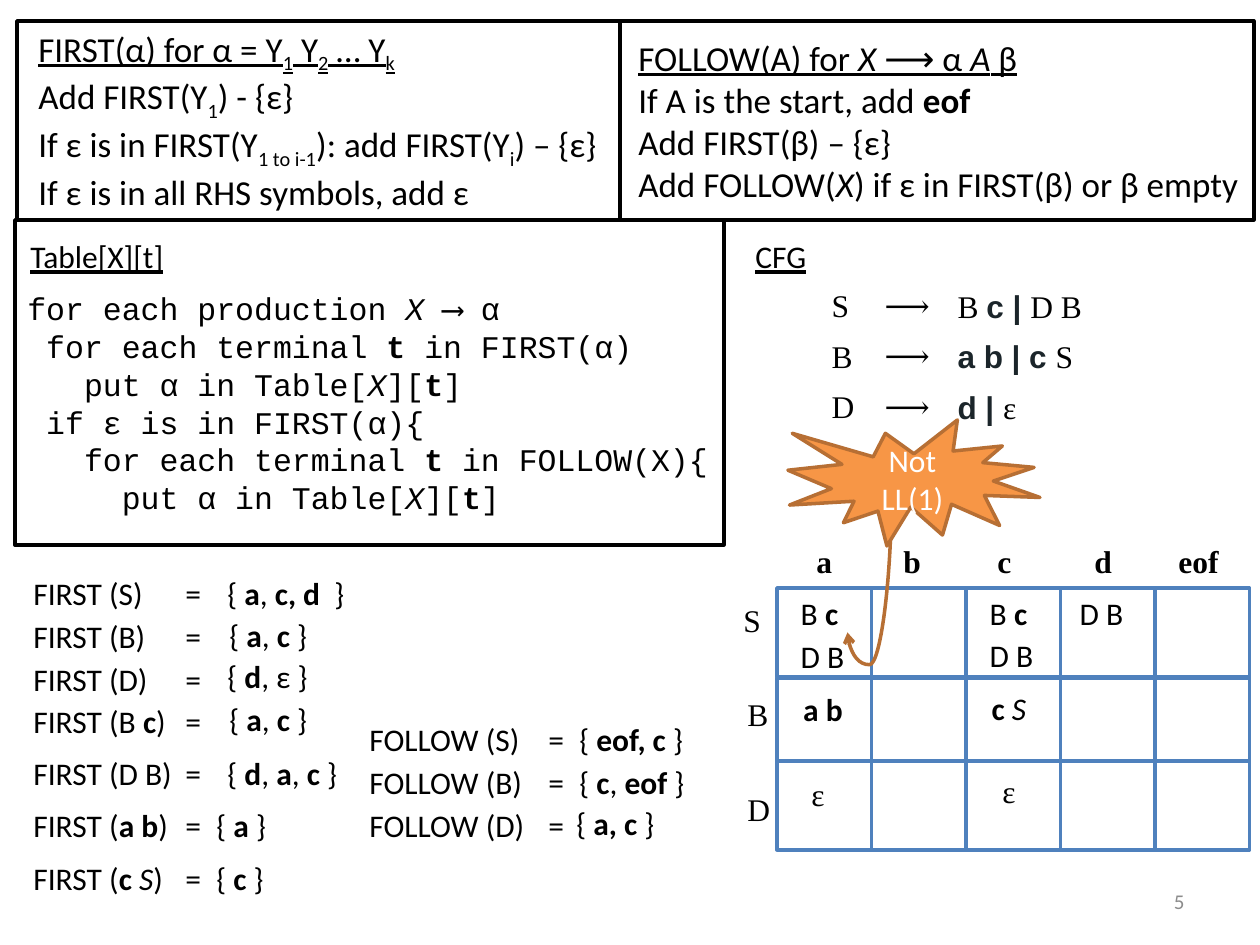
from lxml import etree
from pptx import Presentation, util as u
from pptx.dml.color import RGBColor
from pptx.enum import shapes, text
from pptx.oxml import ns

PX = 914400 // 126
COLORS = {"black": "000000", "white": "FFFFFF", "grid": "4F81BD", "grey": "8C8C8C",
          "terminal": "1B252A", "burst": "F79646", "burst_line": "B76F34"}
SANS, SERIF, MONO = "Calibri", "Times New Roman", "Courier New"
LABEL_H = 50

# Inline marks: * bold, / italic, ~ subscript, a leading _ underlines the paragraph
STYLE_MARKS = {"*": "bold", "/": "italic", "~": "subscript"}

PANELS = [(15, 220, 709, 325), (620, 21, 634, 199), (17, 21, 603, 199)]
FOLLOW_RULES = ["_FOLLOW(A) for /X/\u00a0⟶\u00a0α\u00a0/A/\u00a0β",
                "If A is the start, add *eof*",
                "Add FIRST(β) – {ε}",
                "Add FOLLOW(/X/) if ε in FIRST(β) or β empty"]
FIRST_RULES = ["_FIRST(α) for α = Y~1~ Y~2~ … Y~k~",
               "Add FIRST(Y~1~) - {ε}",
               "If ε is in FIRST(Y~1 to i-1~): add FIRST(Y~i~) – {ε}",
               "If ε is in all RHS symbols, add ε"]
TABLE_RULES = ["for each production /X/ ⟶ α",
               " for each terminal *t* in FIRST(α)",
               "   put α in Table[/X/][*t*]",
               " if ε is in FIRST(α){",
               "   for each terminal *t* in FOLLOW(X){",
               "     put α in Table[/X/][*t*]"]
CFG = [("S", "B\u00a0*c |\u00a0*D\u00a0B"),
       ("B", "*a\u00a0b |\u00a0c\u00a0*S"),
       ("D", "*d |\u00a0*ε")]

# name, name width, top, set, set left, set top, set width
FIRST_SETS = [("FIRST (S)", 136, 568, "{ *a*, *c, d * } ", 215, 568, 151),
              ("FIRST (B)", 139, 611, "{ *a*, *c* } ", 217, 610, 111),
              ("FIRST (D)", 141, 654, "{ *d*, ε } ", 215, 651, 113),
              ("FIRST (B *c*)", 159, 696, "{ *a*, *c* } ", 217, 694, 111),
              ("FIRST (D B)", 165, 748, "{ *d*,* a*,* c* } ", 215, 748, 144),
              ("FIRST (*a b*)", 161, 800, "{ *a* } ", 204, 800, 83),
              ("FIRST (*c */S/)", 156, 853, "{ *c* } ", 204, 853, 81)]
FOLLOW_SETS = [("FOLLOW (S)", 178, 714, "{ *eof, c *} ", 567, 714, 137),
               ("FOLLOW (B)", 180, 757, "{ *c*, *eof* }", 567, 757, 131),
               ("FOLLOW (D)", 183, 800, "{ *a, c* } ", 564, 798, 112)]
# sets, name left, equals left
SET_LISTS = [(FIRST_SETS, 21, 173), (FOLLOW_SETS, 357, 536)]

GRID_LEFT, GRID_PITCH, GRID_COLUMNS, GRID_CELL_H = 777, 94.5, 5, 89
GRID_TOPS = [588, 678, 761]
# text, left, top, width
GRID_HEADS = [("S", 731, 595, 47), ("B", 735, 689, 47), ("D", 735, 784, 48),
              ("*a*", 804, 536, 43), ("*b*", 891, 536, 45), ("*c*", 985, 536, 43),
              ("*d*", 1082, 536, 45), ("*eof*", 1166, 536, 73)]
GRID_ENTRIES = [("B *c*", 788, 588, 63, SANS), ("B *c*", 977, 588, 63, SANS),
                ("D B", 1067, 588, 69, SANS), ("D B", 788, 631, 69, SANS),
                ("D B", 977, 630, 69, SANS), ("*a b*", 790, 684, 66, SANS),
                ("*c */S/", 979, 683, 60, SANS), ("ε", 798, 769, 40, SERIF),
                ("ε", 989, 766, 40, SERIF)]

deck = Presentation()
deck.slide_width, deck.slide_height = 1260 * PX, 945 * PX
page = deck.slides.add_slide(deck.slide_layouts[6])


def emu(*lengths):
    """Turn pixel lengths into EMU."""
    return [round(length * PX) for length in lengths]


def rgb(name):
    """Look up a colour by name."""
    return RGBColor.from_string(COLORS[name])


def write(para, marked, face=SANS, size=18, color="black", bold_look=None):
    """Write marked text as runs; bold_look is a face and colour for bold runs."""
    underline = marked.startswith("_")
    on, chunk = set(), ""
    for char in marked.lstrip("_") + "\0":
        if char not in STYLE_MARKS and char != "\0":
            chunk += char
            continue
        if chunk:
            span = para.add_run()
            span.text = chunk
            font = span.font
            bold = "bold" in on
            font.name, ink = bold_look if bold and bold_look else (face, color)
            font.color.rgb = rgb(ink)
            font.size, font.bold = u.Pt(size), bold
            font.italic, font.underline = "italic" in on, underline
            if "subscript" in on:
                span.font._element.set("baseline", "-25000")
            chunk = ""
        if char in STYLE_MARKS:
            on ^= {STYLE_MARKS[char]}


def add_text(lines, left, top, width, height=LABEL_H, wrap=False, align="LEFT", **look):
    """Add a text box with one paragraph per line."""
    box = page.shapes.add_textbox(*emu(left, top, width, height))
    frame = box.text_frame
    frame.word_wrap = wrap
    frame.auto_size = text.MSO_AUTO_SIZE.SHAPE_TO_FIT_TEXT
    for index, line in enumerate(lines):
        para = frame.add_paragraph() if index else frame.paragraphs[0]
        para.alignment = getattr(text.PP_ALIGN, align)
        write(para, line, **look)
    return box


def add_box(place, line, fill="white", kind=shapes.MSO_SHAPE.RECTANGLE):
    """Add a filled, outlined preset shape."""
    box = page.shapes.add_shape(kind, *emu(*place))
    box.shadow.inherit = False
    box.fill.solid()
    box.fill.fore_color.rgb = rgb(fill)
    box.line.color.rgb = rgb(line)
    box.line.width = u.Pt(2)
    return box


def add_grammar(left, top, widths):
    """Add the grammar as an unstyled table."""
    frame = page.shapes.add_table(len(CFG), 3, *emu(left, top, sum(widths), LABEL_H * len(CFG)))
    table = frame.table
    table.first_row = table.horz_banding = False
    style = table._tbl.find(".//" + ns.qn("a:tableStyleId"))
    style.text = "{2D5ABB26-0587-4C30-8999-92F81FD0307C}"
    for column, width in zip(table.columns, widths):
        column.width = emu(width)[0]
    for row, (symbol, rule) in enumerate(CFG):
        for column, (marked, face) in enumerate([(symbol, SERIF), ("⟶", "Cambria"), (rule, SERIF)]):
            cell = table.cell(row, column)
            cell.fill.background()
            cell.vertical_anchor = text.MSO_ANCHOR.MIDDLE
            write(cell.text_frame.paragraphs[0], marked, face, bold_look=("Arial", "terminal"))


def add_curved_arrow(left, top, width, height, bend):
    """Add a curved arrow turned by a quarter."""
    arrow = page.shapes.add_connector(shapes.MSO_CONNECTOR.CURVE,
                                      *emu(left, top, left + width, top + height))
    arrow.line.color.rgb = rgb("burst_line")
    arrow.line.width = u.Pt(2)
    props = arrow._element.spPr
    props.find(ns.qn("a:xfrm")).set("rot", "5400000")
    guide = etree.SubElement(props.find(ns.qn("a:prstGeom")).find(ns.qn("a:avLst")), ns.qn("a:gd"))
    guide.set("name", "adj1")
    guide.set("fmla", f"val {bend}")
    etree.SubElement(props.find(ns.qn("a:ln")), ns.qn("a:tailEnd")).set("type", "arrow")
    etree.SubElement(props, ns.qn("a:effectLst"))


for panel in PANELS:
    add_box(panel, "black")
number = add_text(["5"], 903, 876, 294, wrap=True, align="RIGHT", size=12, color="grey")
number.text_frame.auto_size = text.MSO_AUTO_SIZE.NONE
number.text_frame.vertical_anchor = text.MSO_ANCHOR.MIDDLE
add_text(FOLLOW_RULES, 626, 30, 722, 183, wrap=True, size=20)
add_text(FIRST_RULES, 26, 21, 719, 183, wrap=True, size=20)
add_text(TABLE_RULES, 15, 283, 709, 242, face=MONO)
add_text(["_Table[X][t]"], 18, 231, 160)
add_text(["_CFG"], 743, 231, 77)
add_grammar(819, 282, [53, 73, 168])

for sets, name_left, equals_left in SET_LISTS:
    for name, name_width, top, members, set_left, set_top, set_width in sets:
        add_text([name], name_left, top, name_width)
        add_text(["="], equals_left, top, 42)
        add_text([members], set_left, set_top, set_width)

for top in GRID_TOPS:
    for column in range(GRID_COLUMNS):
        add_box((GRID_LEFT + column * GRID_PITCH, top, GRID_PITCH, GRID_CELL_H), "grid")
for head, *place in GRID_HEADS:
    add_text([head], *place, face=SERIF)
for entry, left, top, width, face in GRID_ENTRIES:
    add_text([entry], left, top, width, align="CENTER", face=face)

add_curved_arrow(800, 541, 139, 44, 123200)
burst = add_box((788, 420, 252, 126), "burst_line", "burst", shapes.MSO_SHAPE.EXPLOSION1)
burst.text_frame.word_wrap = True
burst.text_frame.vertical_anchor = text.MSO_ANCHOR.MIDDLE
burst.text_frame.paragraphs[0].alignment = text.PP_ALIGN.CENTER
write(burst.text_frame.paragraphs[0], "Not LL(1)", color="white")

deck.save("out.pptx")
